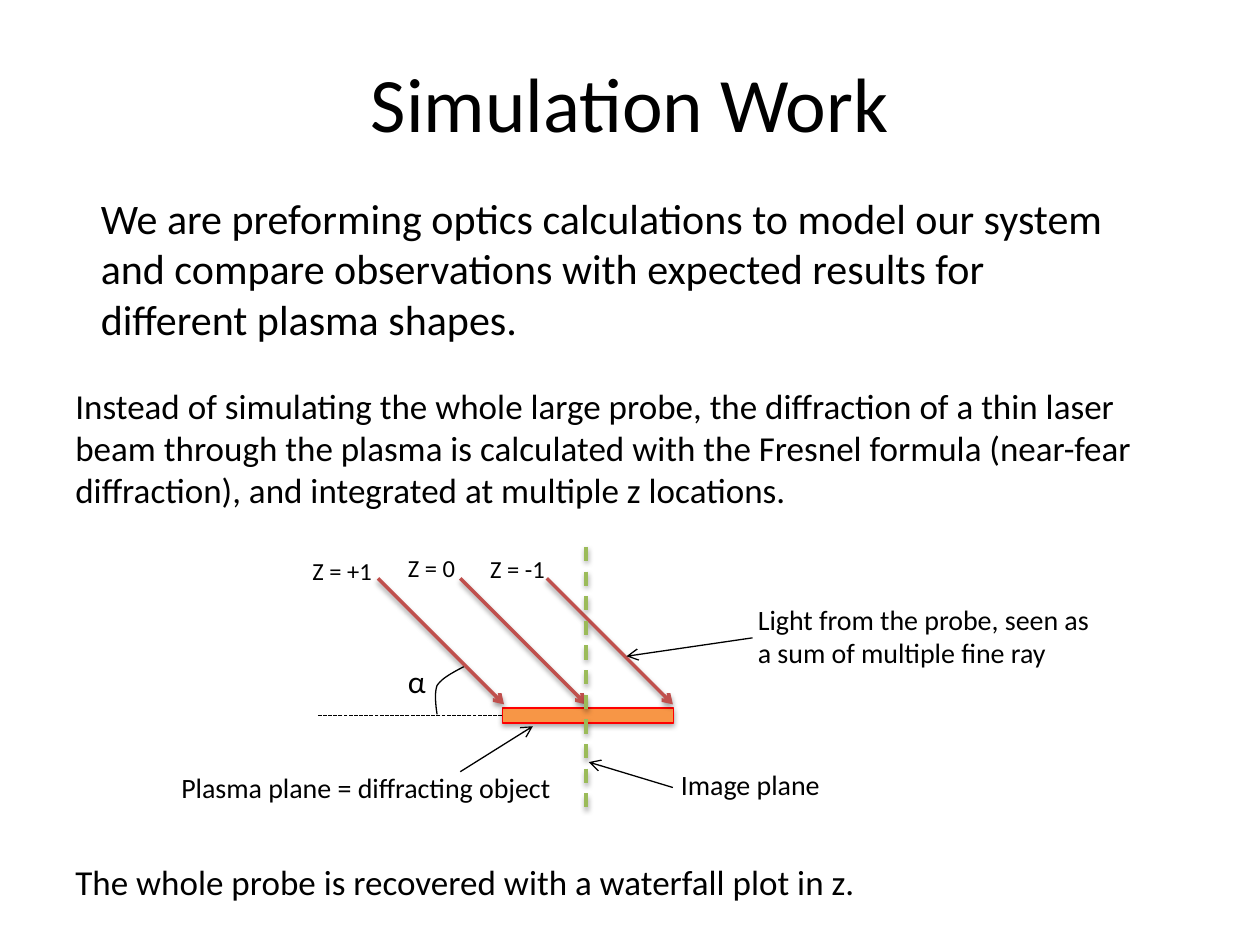
from lxml import etree
from pptx import Presentation
from pptx.dml.color import RGBColor
from pptx.enum.dml import MSO_LINE
from pptx.enum.shapes import MSO_CONNECTOR, MSO_SHAPE
from pptx.enum.text import MSO_ANCHOR, PP_ALIGN
from pptx.oxml.ns import qn
from pptx.util import Pt

BLACK = RGBColor(0x00, 0x00, 0x00)
RED = RGBColor(0xFF, 0x00, 0x00)
RAY_RED = RGBColor(0xC0, 0x50, 0x4D)
PLASMA_ORANGE = RGBColor(0xF7, 0x96, 0x46)
PLANE_GREEN = RGBColor(0x9B, 0xBB, 0x59)
FONT = "Calibri"
STRAIGHT = MSO_CONNECTOR.STRAIGHT
RECTANGLE = MSO_SHAPE.RECTANGLE
DASH = MSO_LINE.DASH
SHORT_DASH = MSO_LINE.SQUARE_DOT
TOP, MIDDLE = MSO_ANCHOR.TOP, MSO_ANCHOR.MIDDLE
LEFT, CENTER = PP_ALIGN.LEFT, PP_ALIGN.CENTER


def add_text(slide, text, left, top, width, height, size=16,
             align=LEFT, anchor=TOP, wrap=True):
    box = slide.shapes.add_textbox(Pt(left), Pt(top), Pt(width), Pt(height))
    frame = box.text_frame
    frame.word_wrap = wrap
    frame.vertical_anchor = anchor
    paragraph = frame.paragraphs[0]
    paragraph.text = text
    paragraph.alignment = align
    paragraph.font.name = FONT
    paragraph.font.size = Pt(size)
    paragraph.font.color.rgb = BLACK


def set_effects(shape, shadow_percent=0):
    """Give the shape a soft shadow below it, or none at all."""
    properties = shape.element.spPr
    effects = etree.SubElement(properties, qn("a:effectLst"))
    if shadow_percent:
        shadow = etree.SubElement(
            effects, qn("a:outerShdw"), blurRad=str(Pt(3.1)),
            dist=str(Pt(1.7)), dir="5400000", rotWithShape="0")
        color = etree.SubElement(shadow, qn("a:srgbClr"), val=str(BLACK))
        etree.SubElement(color, qn("a:alpha"), val=str(shadow_percent * 1000))


def add_line(slide, start, end, color=BLACK, width=0.75, dash=None,
             arrow=False, shadow_percent=0):
    connector = slide.shapes.add_connector(
        STRAIGHT, *(Pt(value) for value in (*start, *end)))
    connector.line.color.rgb = color
    connector.line.width = Pt(width)
    if dash is not None:
        connector.line.dash_style = dash
    if arrow:
        outline = connector.element.spPr.find(qn("a:ln"))
        etree.SubElement(outline, qn("a:tailEnd"), type="arrow")
    set_effects(connector, shadow_percent)


def add_plasma(slide, left, top, width, height):
    plasma = slide.shapes.add_shape(
        RECTANGLE, Pt(left), Pt(top), Pt(width), Pt(height))
    plasma.fill.solid()
    plasma.fill.fore_color.rgb = PLASMA_ORANGE
    plasma.line.color.rgb = RED
    plasma.line.width = Pt(0.75)
    set_effects(plasma, 35)


def bezier_point(controls, t):
    weights = ((1 - t) ** 3, 3 * t * (1 - t) ** 2, 3 * t ** 2 * (1 - t), t ** 3)
    return tuple(Pt(sum(w * point[axis] for w, point in zip(weights, controls)))
                 for axis in (0, 1))


def add_curve(slide, segments, steps=12):
    """Draw an open outline through cubic Bezier segments."""
    points = [bezier_point(segment, step / steps)
              for segment in segments for step in range(1, steps + 1)]
    start_x, start_y = segments[0][0]
    builder = slide.shapes.build_freeform(Pt(start_x), Pt(start_y))
    builder.add_line_segments(points, close=False)
    curve = builder.convert_to_shape()
    curve.fill.background()
    curve.line.color.rgb = BLACK
    curve.line.width = Pt(0.75)
    curve.shadow.inherit = False


def add_paragraphs(slide):
    add_text(slide, "Simulation Work", 36, 13, 648, 90, size=44,
             align=CENTER, anchor=MIDDLE)
    add_text(slide, "We are preforming optics calculations to model our system "
             "and compare observations with expected results for different "
             "plasma shapes.", 50.5, 106.5, 608.5, 94.5, size=24)
    add_text(slide, "Instead of simulating the whole large probe, the "
             "diffraction of a thin laser beam through the plasma is calculated "
             "with the Fresnel formula (near-fear diffraction), and integrated "
             "at multiple z locations.", 36, 216, 648, 82, size=20)
    add_text(slide, "The whole probe is recovered with a waterfall plot in z.",
             36, 488, 648, 32, size=20)


def add_diagram(slide):
    add_plasma(slide, 287, 404.5, 98, 8.6)
    add_line(slide, (287, 409), (181.5, 409), dash=SHORT_DASH)

    rays = (("Z = +1", 171.4, 314, 216), ("Z = 0", 226, 312.5, 263),
            ("Z = -1", 273, 313, 312.5))
    for label, label_left, label_top, ray_left in rays:
        add_text(slide, label, label_left, label_top, 63.4, 24.5, size=14)
        add_line(slide, (ray_left, 330.5), (ray_left + 72, 402.5), RAY_RED, 2,
                 arrow=True, shadow_percent=38)

    bend = (249.8, 391.7)
    foot = (249.8, 408.2)
    add_curve(slide, (((265, 381), (258.5, 384.5), (252.7, 387.4), bend),
                      (bend, (247.7, 396.7), foot, foot)))
    add_text(slide, "α", 226, 374.5, 48, 29, size=18)

    add_line(slide, (335, 312.5), (335, 463.5), PLANE_GREEN, 2, dash=DASH,
             shadow_percent=38)

    pointers = (((263, 441), (304.5, 415)), ((430, 364.5), (358, 375)),
                ((384.5, 450), (336.5, 435.5)))
    for start, end in pointers:
        add_line(slide, start, end, arrow=True)
    add_text(slide, "Plasma plane = diffracting object", 96.5, 437, 229, 26.6,
             wrap=False)
    add_text(slide, "Light from the probe, seen as a sum of multiple fine ray",
             426, 340.5, 204.5, 46)
    add_text(slide, "Image plane", 382, 435, 95, 26.6, wrap=False)


def main():
    presentation = Presentation()
    presentation.slide_width = Pt(720)
    presentation.slide_height = Pt(540)
    slide = presentation.slides.add_slide(presentation.slide_layouts[6])
    add_paragraphs(slide)
    add_diagram(slide)
    presentation.save("out.pptx")


if __name__ == "__main__":
    main()
